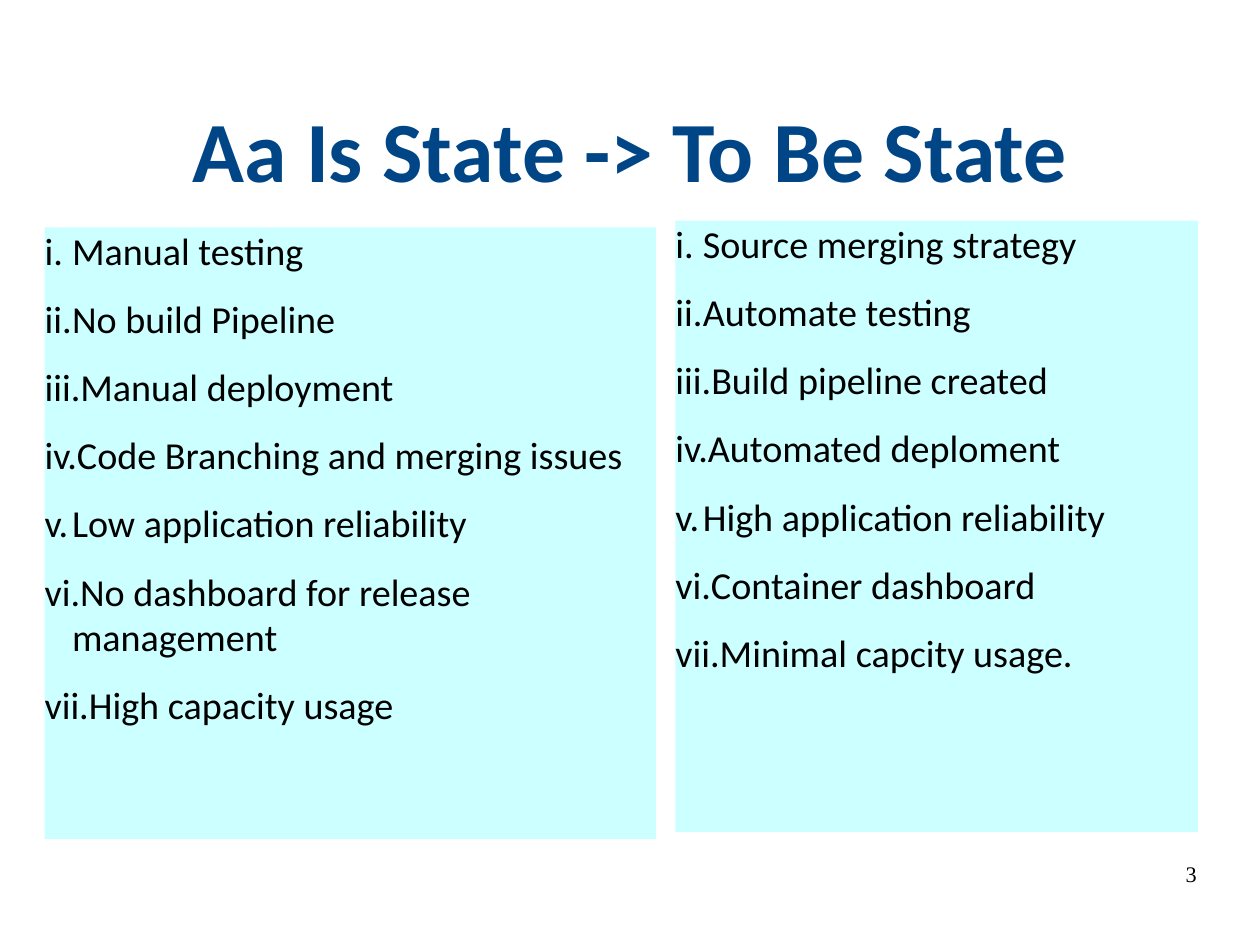
"""Build the slide that compares the current state with the target state."""
from lxml.etree import SubElement
from pptx import Presentation
from pptx.dml.color import RGBColor
from pptx.enum.shapes import MSO_SHAPE
from pptx.enum.text import MSO_ANCHOR, PP_ALIGN
from pptx.oxml.ns import qn
from pptx.util import Inches, Pt

TITLE = "Aa Is State -> To Be State"
PAGE = "3"
AS_IS = [
    "Manual testing",
    "No build Pipeline",
    "Manual deployment",
    "Code Branching and merging issues",
    "Low application reliability",
    "No dashboard for release management",
    "High capacity usage",
]
TO_BE = [
    "Source merging strategy",
    "Automate testing",
    "Build pipeline created",
    "Automated deploment",
    "High application reliability",
    "Container dashboard",
    "Minimal capcity usage.",
]
PANELS = [
    (AS_IS, 0.39, 1.99, 5.35),
    (TO_BE, 5.91, 1.93, 4.57),
]
PANEL_HEIGHT = 5.35
SLIDE_WIDTH, SLIDE_HEIGHT = 28 / 2.54, 21 / 2.54
INDENT = Inches(0.24)

NAVY = RGBColor(0x00, 0x45, 0x86)
AQUA = RGBColor(0xCC, 0xFF, 0xFF)
BLACK = RGBColor(0x00, 0x00, 0x00)


def number_roman(p):
    pPr = p._p.get_or_add_pPr()
    pPr.set("marL", str(INDENT))
    pPr.set("indent", str(-INDENT))
    color = SubElement(pPr, qn("a:buClr"))
    SubElement(color, qn("a:srgbClr"), val=str(BLACK))
    SubElement(pPr, qn("a:buFont"), typeface="Calibri")
    SubElement(pPr, qn("a:buAutoNum"), type="romanLcPeriod")


def write(s, lines, size=24, font="Calibri", color=BLACK, bold=False,
          align=PP_ALIGN.LEFT, anchor=MSO_ANCHOR.TOP, after=0, numbered=False):
    tf = s.text_frame
    tf.word_wrap = True
    tf.vertical_anchor = anchor
    tf.margin_left = tf.margin_top = tf.margin_right = tf.margin_bottom = 0
    for i, line in enumerate(lines):
        p = tf.add_paragraph() if i else tf.paragraphs[0]
        p.alignment = align
        p.space_after = Pt(after)
        if numbered:
            number_roman(p)
        r = p.add_run()
        r.text = line
        r.font.size = Pt(size)
        r.font.name = font
        r.font.bold = bold
        r.font.color.rgb = color


def main():
    prs = Presentation()
    prs.slide_width, prs.slide_height = Inches(SLIDE_WIDTH), Inches(SLIDE_HEIGHT)
    slide = prs.slides.add_slide(prs.slide_layouts[6])
    shapes = slide.shapes

    title = shapes.add_textbox(Inches(0.55), Inches(0.61), Inches(9.92), Inches(1.38))
    write(title, [TITLE], size=54, color=NAVY, bold=True,
          align=PP_ALIGN.CENTER, anchor=MSO_ANCHOR.MIDDLE)

    for items, left, top, width in PANELS:
        panel = shapes.add_shape(MSO_SHAPE.RECTANGLE, Inches(left), Inches(top),
                                 Inches(width), Inches(PANEL_HEIGHT))
        panel.shadow.inherit = False
        panel.fill.solid()
        panel.fill.fore_color.rgb = AQUA
        panel.line.fill.background()
        write(panel, items, after=14.1, numbered=True)

    page = shapes.add_textbox(Inches(7.9), Inches(7.53), Inches(2.57), Inches(0.57))
    write(page, [PAGE], size=14, font="Times New Roman", align=PP_ALIGN.RIGHT)

    prs.save("out.pptx")


if __name__ == "__main__":
    main()
